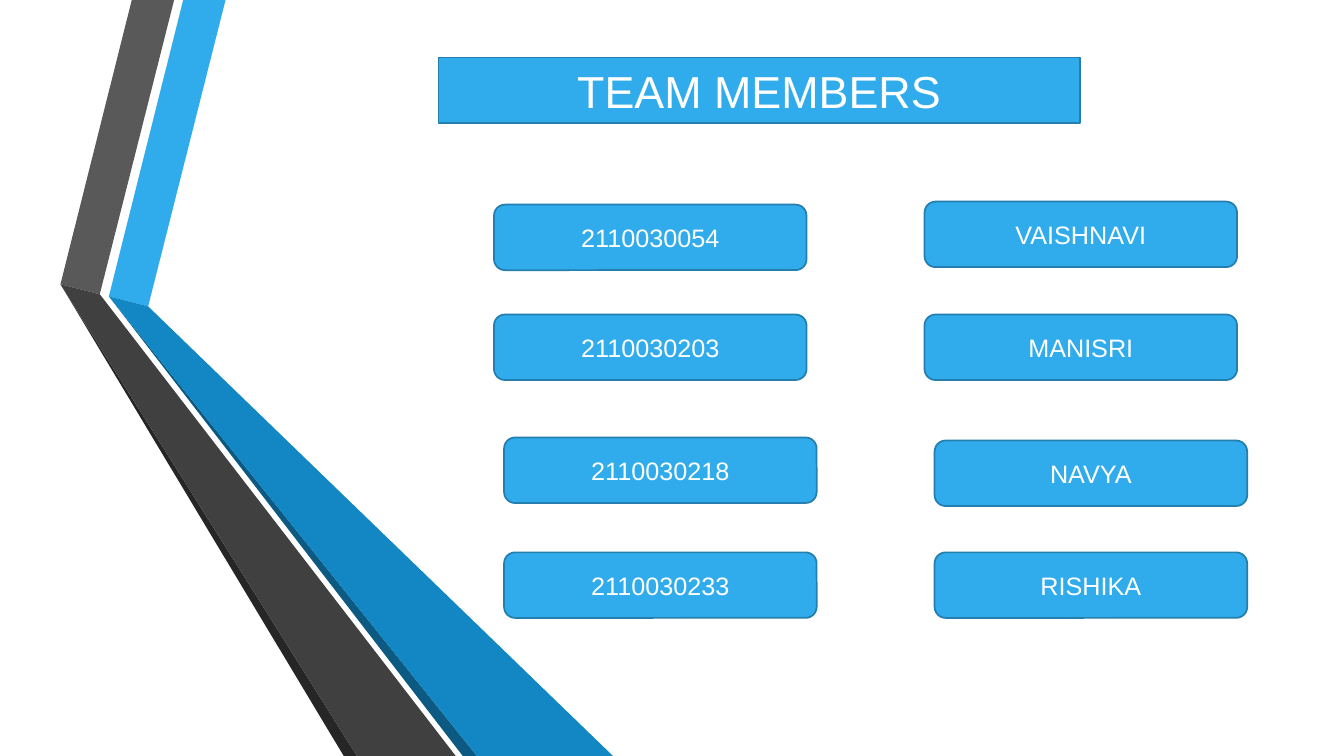
from lxml import etree
from pptx import Presentation
from pptx.dml.color import RGBColor
from pptx.enum.shapes import MSO_SHAPE
from pptx.enum.text import MSO_ANCHOR, MSO_AUTO_SIZE, PP_ALIGN
from pptx.oxml.ns import qn
from pptx.util import Inches, Pt

ROUNDED = MSO_SHAPE.ROUNDED_RECTANGLE
MIDDLE = MSO_ANCHOR.MIDDLE
NO_FIT = MSO_AUTO_SIZE.NONE
CENTER = PP_ALIGN.CENTER
TITLE_ONLY = 5

COLORS = {
    "sky": "30ACEC",
    "blue": "1287C3",
    "navy": "0C5A82",
    "outline": "247FAF",
    "gray": "595959",
    "charcoal": "404040",
    "black": "262626",
    "white": "FFFFFF",
}
FRAME_FORMAT = {"word_wrap": True, "auto_size": NO_FIT, "vertical_anchor": MIDDLE}

RIBBON_BOX = (0.6, -0.01)
RIBBONS = [
    ("sky", [(0.48, 2.95), (0.87, 3.05), (1.64, 0), (1.22, 0)]),
    ("gray", [(0.39, 2.93), (1.13, 0), (0.71, 0), (0, 2.83)]),
    ("black", [(0, 2.83), (2.81, 7.51), (2.94, 7.51)]),
    ("navy", [(4.13, 7.51), (0.48, 2.95), (3.99, 7.51)]),
    ("blue", [(0.48, 2.95), (4.13, 7.51), (5.48, 7.51), (0.87, 3.05)]),
    ("charcoal", [(3.92, 7.51), (0.46, 3.02), (0.39, 2.93), (0, 2.83), (2.94, 7.51)]),
]

TITLE_BOX = (4.35, 0.57, 6.36, 0.65)
MEMBERS_BOX = (4.9, 2.0, 3.1, 0.65)
NAME_OFFSET = 4.27
MEMBERS = [
    ("2110030054", "VAISHNAVI", 0, 0.03, 0),
    ("2110030203", "MANISRI", 0, 1.12, 1.12),
    ("2110030218", "NAVYA", 0.1, 2.34, 2.37),
    ("2110030233", "RISHIKA", 0.1, 3.48, 3.48),
]


def color(name):
    """Return the named palette colour."""
    return RGBColor.from_string(COLORS[name])


def format_card(shape, text, size):
    """Give a card its fill, outline and centred text."""
    shape.fill.solid()
    shape.fill.fore_color.rgb = color("sky")
    shape.line.color.rgb = color("outline")
    shape.line.width = Pt(1.25)
    for name, value in FRAME_FORMAT.items():
        setattr(shape.text_frame, name, value)
    paragraph = shape.text_frame.paragraphs[0]
    paragraph.alignment = CENTER
    run = paragraph.add_run()
    run.text = text
    for name, value in {"name": "Arial", "size": Pt(size), "bold": False}.items():
        setattr(run.font, name, value)
    run.font.color.rgb = color("white")


def add_ribbons(slide, box):
    """Draw the folded ribbons from the box's top left corner."""
    left, top = box
    for fill, outline in RIBBONS:
        points = [(Inches(left + x), Inches(top + y)) for x, y in outline]
        builder = slide.shapes.build_freeform(*points[0])
        builder.add_line_segments(points[1:], close=True)
        shape = builder.convert_to_shape()
        shape.shadow.inherit = False
        shape.fill.solid()
        shape.fill.fore_color.rgb = color(fill)
        shape.line.fill.background()


def add_title(slide, box):
    """Turn the title placeholder into a rounded banner."""
    title = slide.shapes.title
    for name, value in zip(("left", "top", "width", "height"), box):
        setattr(title, name, Inches(value))
    geometry = etree.SubElement(title.element.spPr, qn("a:prstGeom"), prst="roundRect")
    etree.SubElement(geometry, qn("a:avLst"))
    format_card(title, "TEAM MEMBERS", 32)


def add_members(slide, box):
    """Place each member's number and name side by side."""
    left, top, width, height = box
    for number, name, indent, number_drop, name_drop in MEMBERS:
        cards = [(number, 0, number_drop), (name, NAME_OFFSET, name_drop)]
        for text, offset, drop in cards:
            position = (left + indent + offset, top + drop, width, height)
            shape = slide.shapes.add_shape(ROUNDED, *map(Inches, position))
            shape.shadow.inherit = False
            format_card(shape, text, 18)


def main():
    """Build and save the team slide."""
    presentation = Presentation()
    presentation.slide_width = Inches(13.33)
    presentation.slide_height = Inches(7.5)
    slide = presentation.slides.add_slide(presentation.slide_layouts[TITLE_ONLY])
    add_ribbons(slide, RIBBON_BOX)
    add_title(slide, TITLE_BOX)
    add_members(slide, MEMBERS_BOX)
    presentation.save("out.pptx")


if __name__ == "__main__":
    main()
